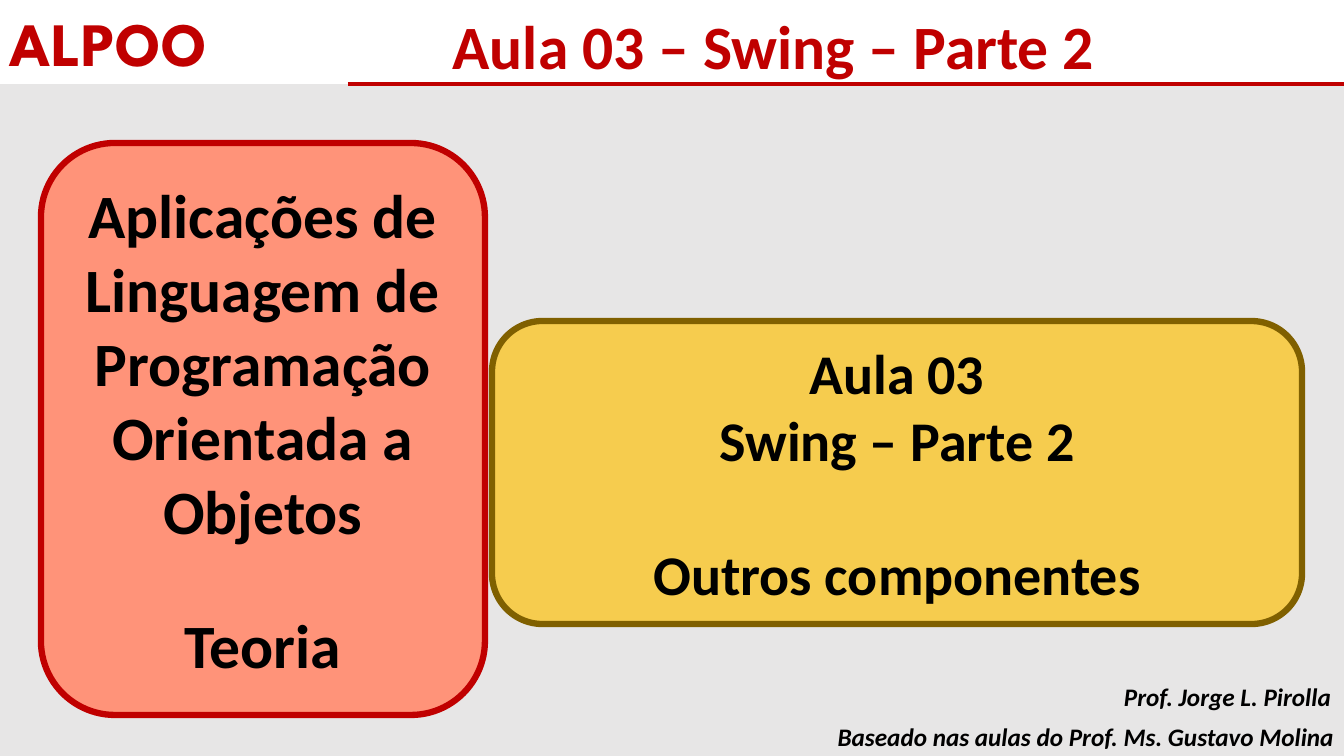
from dataclasses import dataclass

from lxml import etree
from pptx import Presentation
from pptx.dml.color import RGBColor
from pptx.enum.shapes import MSO_CONNECTOR, MSO_SHAPE
from pptx.enum.text import MSO_ANCHOR, MSO_AUTO_SIZE, PP_ALIGN
from pptx.oxml.ns import qn
from pptx.util import Emu, Pt

RECT, ROUNDED = MSO_SHAPE.RECTANGLE, MSO_SHAPE.ROUNDED_RECTANGLE
STRAIGHT = MSO_CONNECTOR.STRAIGHT
LEFT, CENTER, RIGHT = PP_ALIGN.LEFT, PP_ALIGN.CENTER, PP_ALIGN.RIGHT
MIDDLE, GROW = MSO_ANCHOR.MIDDLE, MSO_AUTO_SIZE.SHAPE_TO_FIT_TEXT
EMU_PER_PX = 914400 / 100.8
SLIDE_W, SLIDE_H, HEADER_H = 1344, 756, 84


@dataclass(frozen=True)
class Theme:
    """Colours, fonts and point sizes of the slide."""
    red: str = "C00000"
    ink: str = "000000"
    backdrop: str = "E7E6E6"
    salmon: str = "FF9379"
    gold: str = "FFC000"
    bronze: str = "806000"
    body_font: str = "Calibri"
    course_font: str = "League Spartan"
    heading: float = 44
    lesson: float = 40
    credit: float = 18
    rule: float = 3
    border: float = 4.5


THEME = Theme()


@dataclass(frozen=True)
class Box:
    """Place in whole pixels."""
    left: int
    top: int
    width: int
    height: int


@dataclass(frozen=True)
class Label:
    """One line of free text."""
    text: str
    box: Box
    size: float
    color: str
    font: str = THEME.body_font
    align: PP_ALIGN = LEFT
    wrap: bool = True
    italic: bool = False


@dataclass(frozen=True)
class Panel:
    """Rounded panel whose last paragraph stands apart by a gap in points."""
    lines: tuple[str, ...]
    box: Box
    size: float
    fill: str
    border: str
    gap: float
    opacity: int = 100


HEADINGS = (
    Label("ALPOO", Box(0, 0, 243, 84), THEME.heading, THEME.red,
          font=THEME.course_font, wrap=False),
    Label("Aula 03 – Swing – Parte 2", Box(293, 3, 812, 85),
          THEME.heading, THEME.red, align=RIGHT),
)
PANELS = (
    Panel(("Aplicações de Linguagem de Programação Orientada a Objetos", "Teoria"),
          Box(41, 143, 444, 572), THEME.heading, THEME.salmon, THEME.red, gap=43),
    Panel(("Aula 03", "Swing – Parte 2", "Outros componentes"),
          Box(492, 321, 810, 303), THEME.lesson, THEME.gold, THEME.bronze,
          gap=48, opacity=66),
)
CREDITS = (
    Label("Prof. Jorge L. Pirolla", Box(1114, 676, 230, 40),
          THEME.credit, THEME.ink, wrap=False, italic=True),
    Label("Baseado nas aulas do Prof. Ms. Gustavo Molina", Box(823, 716, 521, 40),
          THEME.credit, THEME.ink, align=RIGHT, italic=True),
)


def px(pixels: int) -> Emu:
    """Turn pixels into EMU."""
    return Emu(round(pixels * EMU_PER_PX))


def place(box: Box) -> tuple[Emu, ...]:
    """Give a box as EMU left, top, width and height."""
    return tuple(px(v) for v in (box.left, box.top, box.width, box.height))


def write(paragraph, text: str, align: PP_ALIGN, color: str, **font_format) -> None:
    """Add one bold run to a paragraph with the given font format."""
    paragraph.alignment = align
    font = paragraph.add_run().font
    paragraph.runs[0].text = text
    for attribute, value in {"bold": True, **font_format}.items():
        setattr(font, attribute, value)
    font.color.rgb = RGBColor.from_string(color)


def add_filled(slide, kind: MSO_SHAPE, box: Box, fill: str):
    """Add a flat preset shape with a solid fill."""
    shape = slide.shapes.add_shape(kind, *place(box))
    shape.shadow.inherit = False
    shape.fill.solid()
    shape.fill.fore_color.rgb = RGBColor.from_string(fill)
    return shape


def add_backdrop(slide) -> None:
    """Add the grey area below the header and the rule on its edge."""
    area = Box(0, HEADER_H, SLIDE_W, SLIDE_H - HEADER_H)
    add_filled(slide, RECT, area, THEME.backdrop).line.fill.background()
    rule = slide.shapes.add_connector(
        STRAIGHT, px(348), px(HEADER_H), px(SLIDE_W), px(HEADER_H))
    rule.line.color.rgb = RGBColor.from_string(THEME.red)
    rule.line.width = Pt(THEME.rule)
    etree.SubElement(rule._element.spPr, qn("a:effectLst"))


def add_label(slide, label: Label) -> None:
    """Add a free line of text."""
    frame = slide.shapes.add_textbox(*place(label.box)).text_frame
    frame.word_wrap = label.wrap
    frame.auto_size = GROW
    write(frame.paragraphs[0], label.text, label.align, label.color,
          name=label.font, size=Pt(label.size), italic=label.italic)


def add_panel(slide, panel: Panel) -> None:
    """Add a rounded panel with centred paragraphs."""
    shape = add_filled(slide, ROUNDED, panel.box, panel.fill)
    if panel.opacity < 100:
        tint = shape._element.spPr.find(qn("a:solidFill"))[0]
        etree.SubElement(tint, qn("a:alpha"), val=str(panel.opacity * 1000))
    shape.line.color.rgb = RGBColor.from_string(panel.border)
    shape.line.width = Pt(THEME.border)
    frame = shape.text_frame
    frame.word_wrap = True
    frame.vertical_anchor = MIDDLE
    for index, text in enumerate(panel.lines):
        paragraph = frame.add_paragraph() if index else frame.paragraphs[0]
        write(paragraph, text, CENTER, THEME.ink,
              name=THEME.body_font, size=Pt(panel.size))
    paragraph.space_before = Pt(panel.gap)


def main() -> None:
    """Build and save the slide."""
    deck = Presentation()
    deck.slide_width, deck.slide_height = px(SLIDE_W), px(SLIDE_H)
    slide = deck.slides.add_slide(deck.slide_layouts[6])
    add_backdrop(slide)
    for heading in HEADINGS:
        add_label(slide, heading)
    for panel in PANELS:
        add_panel(slide, panel)
    for credit in CREDITS:
        add_label(slide, credit)
    deck.save("out.pptx")


main()
